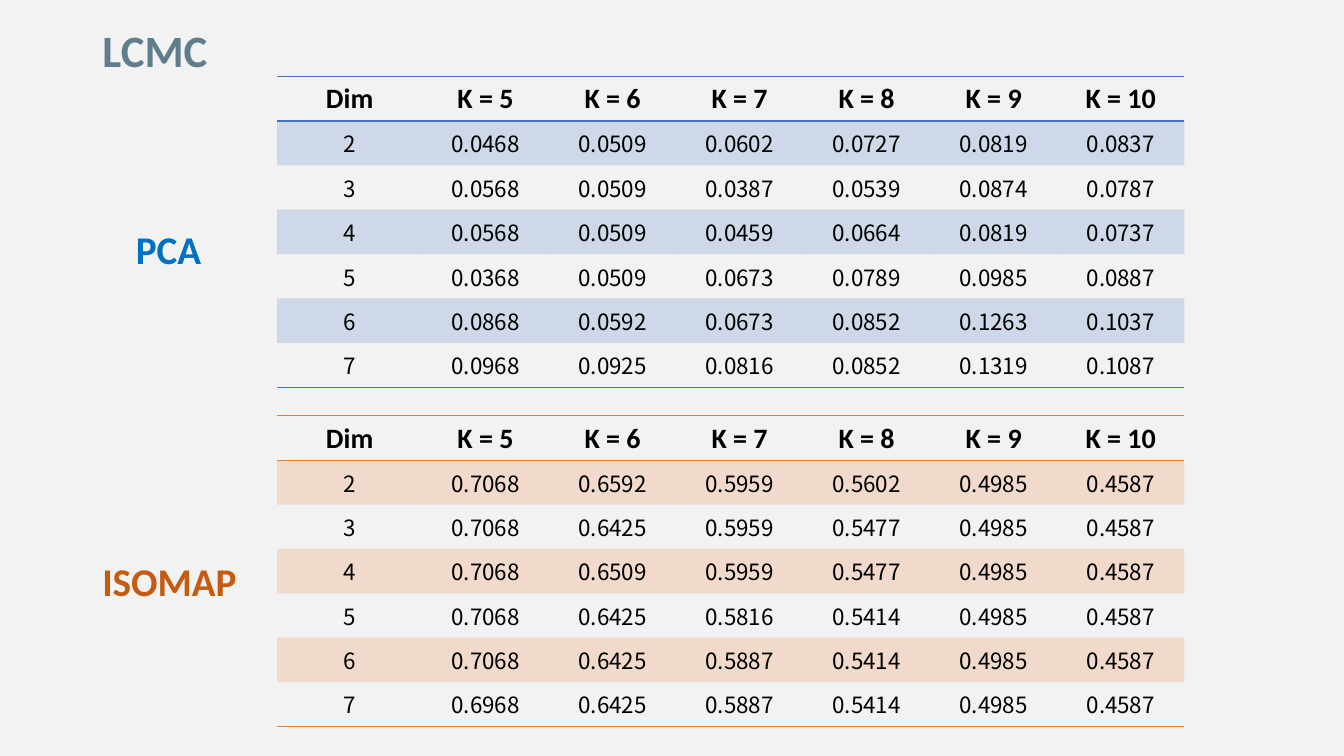
from pptx import Presentation
from pptx.dml.color import RGBColor
from pptx.enum.text import MSO_ANCHOR as Anchor, MSO_AUTO_SIZE as AutoSize, PP_ALIGN as Align
from pptx.oxml import parse_xml
from pptx.oxml.ns import nsdecls, qn
from pptx.util import Pt

EMU_PER_PX = 9525
NO_STYLE = "{2D5ABB26-0587-4C30-8999-92F81FD0307C}"
HEADINGS = ["Dim"] + [f"K = {k}" for k in range(5, 11)]
PCA_SCORES = """
2 0.0468 0.0509 0.0602 0.0727 0.0819 0.0837
3 0.0568 0.0509 0.0387 0.0539 0.0874 0.0787
4 0.0568 0.0509 0.0459 0.0664 0.0819 0.0737
5 0.0368 0.0509 0.0673 0.0789 0.0985 0.0887
6 0.0868 0.0592 0.0673 0.0852 0.1263 0.1037
7 0.0968 0.0925 0.0816 0.0852 0.1319 0.1087
"""
ISOMAP_SCORES = """
2 0.7068 0.6592 0.5959 0.5602 0.4985 0.4587
3 0.7068 0.6425 0.5959 0.5477 0.4985 0.4587
4 0.7068 0.6509 0.5959 0.5477 0.4985 0.4587
5 0.7068 0.6425 0.5816 0.5414 0.4985 0.4587
6 0.7068 0.6425 0.5887 0.5414 0.4985 0.4587
7 0.6968 0.6425 0.5887 0.5414 0.4985 0.4587
"""


def px(length):
    """Turn pixels into EMU."""
    return length * EMU_PER_PX


def rgb(color):
    """Turn a hex string into a colour."""
    return RGBColor.from_string(color)


def write_text(text_frame, text, size=16, font="Calibri", color="000000", bold=False, align=Align.LEFT):
    """Write one formatted paragraph into a text frame."""
    paragraph = text_frame.paragraphs[0]
    paragraph.alignment = align
    run = paragraph.add_run()
    run.text = text
    run.font.size = Pt(size)
    run.font.name = font
    run.font.bold = bold
    run.font.color.rgb = rgb(color)


def set_heading(shape, text, left, top, height, size, color):
    """Place a text shape and write a bold heading in it."""
    shape.left, shape.top, shape.width, shape.height = map(px, (left, top, 247, height))
    text_frame = shape.text_frame
    text_frame.word_wrap = True
    text_frame.auto_size = AutoSize.SHAPE_TO_FIT_TEXT
    text_frame.vertical_anchor = Anchor.TOP
    write_text(text_frame, text, size=size, color=color, bold=True)


def add_label(slide, text, left, top, color):
    """Add the name of a method beside its table."""
    set_heading(slide.shapes.add_textbox(0, 0, 0, 0), text, left, top, 55, 28, color)


def set_borders(cell, sides, color):
    """Draw lines on the given sides of a cell, top before bottom."""
    properties = cell._tc.get_or_add_tcPr()
    for position, side in enumerate(sides):
        properties.insert(position, parse_xml(
            f'<a:ln{side} {nsdecls("a")} w="12700"><a:solidFill>'
            f'<a:srgbClr val="{color}"/></a:solidFill></a:ln{side}>'))


def tint_cell(cell, color):
    """Fill a cell with a colour at 20 % opacity."""
    cell.fill.solid()
    cell.fill.fore_color.rgb = rgb(color)
    swatch = cell._tc.tcPr.find(".//" + qn("a:srgbClr"))
    swatch.append(parse_xml(f'<a:alpha {nsdecls("a")} val="20000"/>'))


def format_cell(cell, text, is_header):
    """Write the text of a header or score cell."""
    cell.vertical_anchor = Anchor.MIDDLE
    cell.margin_left = cell.margin_right = px(1 if is_header else 5)
    cell.margin_top = px(1 if is_header else 0)
    cell.margin_bottom = 0
    if is_header:
        write_text(cell.text_frame, text, size=20, bold=True, align=Align.CENTER)
    else:
        write_text(cell.text_frame, text, font="Noto Sans CJK SC", align=Align.CENTER)


def add_score_table(slide, top, scores, color):
    """Add a table of scores with tinted alternate rows."""
    rows = [HEADINGS] + [line.split() for line in scores.strip().splitlines()]
    last = len(rows) - 1
    frame = slide.shapes.add_table(len(rows), len(HEADINGS), px(264), px(top), px(864), px(296))
    table = frame.table
    table.horz_banding = False
    table._tbl.tblPr.find(qn("a:tableStyleId")).text = NO_STYLE
    for index, column in enumerate(table.columns):
        column.width = px(121 if index else 138)
    for row, values in enumerate(rows):
        for column, value in enumerate(values):
            cell = table.cell(row, column)
            format_cell(cell, value, is_header=row == 0)
            if row % 2:
                tint_cell(cell, color)
            else:
                cell.fill.background()
            if row == 0:
                set_borders(cell, "TB", color)
            elif row == last:
                set_borders(cell, "B", color)


def main():
    """Build the slide and save it."""
    presentation = Presentation()
    presentation.slide_width, presentation.slide_height = px(1280), px(720)
    slide = presentation.slides.add_slide(presentation.slide_layouts[5])
    slide.background.fill.solid()
    slide.background.fill.fore_color.rgb = rgb("F2F2F2")
    set_heading(slide.shapes.title, "LCMC", 88, 17, 61, 32, "607D8B")
    add_score_table(slide, 73, PCA_SCORES, "4472C4")
    add_score_table(slide, 396, ISOMAP_SCORES, "ED7D31")
    add_label(slide, "PCA", 120, 210, "0070C0")
    add_label(slide, "ISOMAP", 88, 526, "C55A11")
    presentation.save("out.pptx")


if __name__ == "__main__":
    main()
